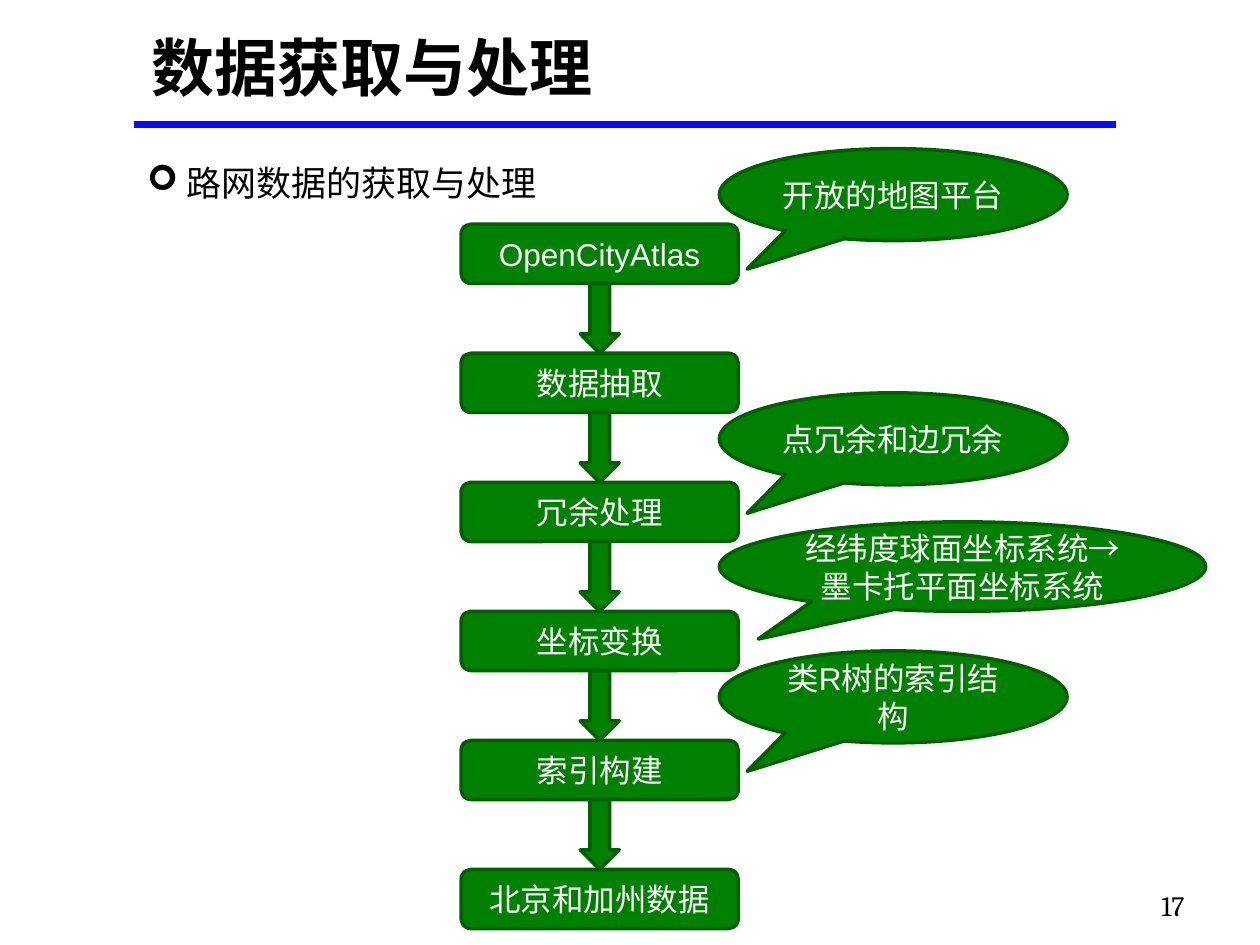
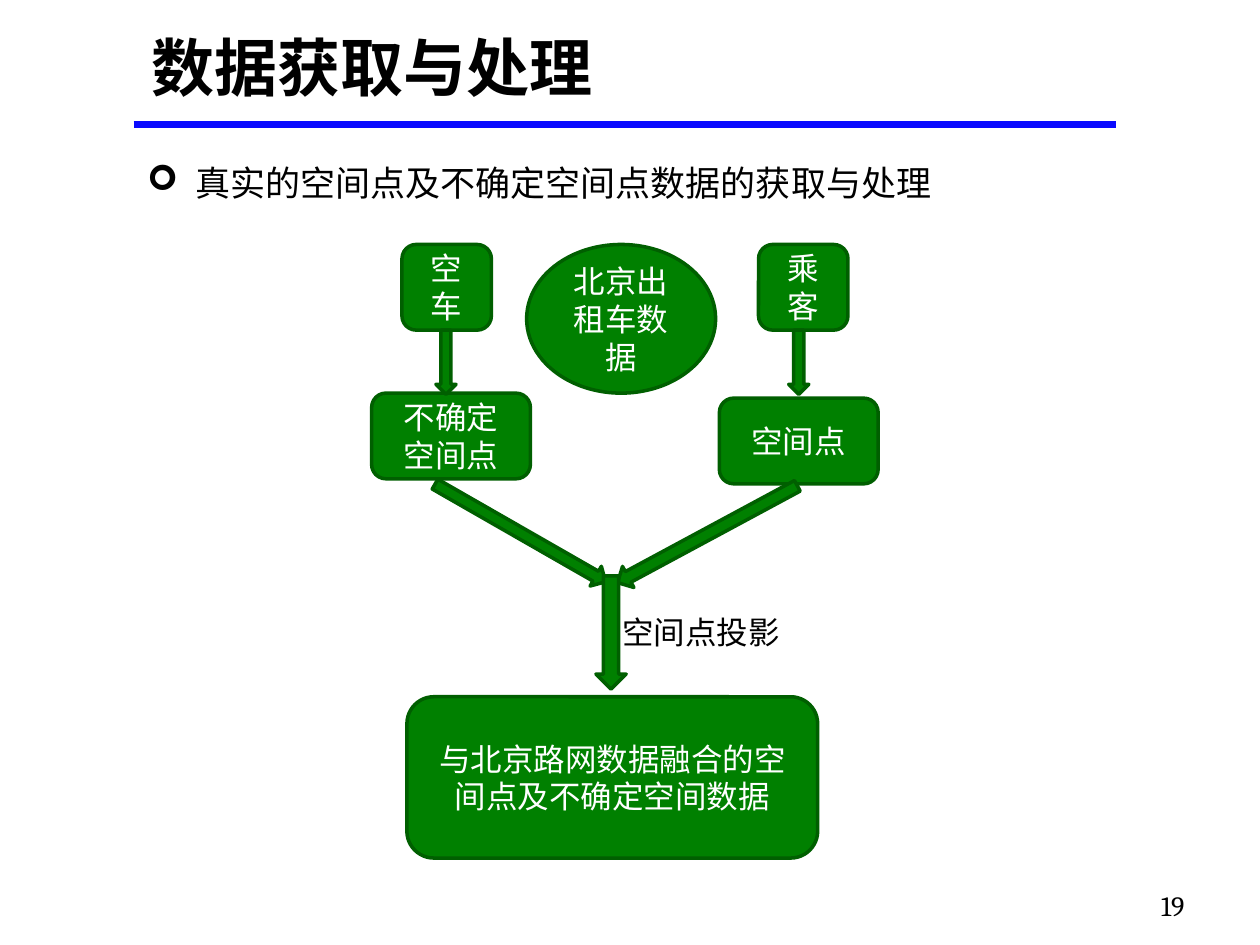
from lxml import etree
from pptx import Presentation, util as u
from pptx.dml.color import RGBColor
from pptx.enum import shapes, text
from pptx.oxml.ns import qn

COLORS = {"ink": "000000", "paper": "FFFFFF", "rule": "0A0AFF",
          "block": "008000", "edge": "005F00"}
STYLES = {
    "title": {"size": u.Pt(36), "name": "Arial", "bold": True},
    "bullet": {"size": u.Pt(20), "name": "Arial"},
    "body": {"size": u.Pt(18), "name": "Arial"},
    "number": {"size": u.Pt(16), "name": "Cambria"},
}
ALIGN, ANCHOR = text.PP_ALIGN, text.MSO_ANCHOR
KIND = shapes.MSO_SHAPE
W, H = 10, 7.5


def write(sp, words, style, color="ink", align=ALIGN.LEFT, anchor=ANCHOR.TOP):
    tf = sp.text_frame
    for key, value in {"word_wrap": True, "vertical_anchor": anchor,
                       "auto_size": text.MSO_AUTO_SIZE.NONE}.items():
        setattr(tf, key, value)
    p = tf.paragraphs[0]
    p.alignment = align
    r = p.add_run()
    r.text = words
    for key, value in STYLES[style].items():
        setattr(r.font, key, value)
    r.font.color.rgb = RGBColor.from_string(COLORS[color])
    return p


def block(s, kind, box, words="", turn=0):
    """Add a green shape; box is left, top, width, height in inches."""
    sp = s.shapes.add_shape(kind, *map(u.Inches, box))
    sp.shadow.inherit = False
    sp.rotation = turn
    sp.fill.solid()
    sp.fill.fore_color.rgb = RGBColor.from_string(COLORS["block"])
    sp.line.color.rgb = RGBColor.from_string(COLORS["edge"])
    sp.line.width = u.Pt(2)
    if words:
        write(sp, words, "body", "paper", ALIGN.CENTER, ANCHOR.MIDDLE)
    return sp


prs = Presentation()
prs.slide_width, prs.slide_height = u.Inches(W), u.Inches(H)

# Shared frame: title, rule, page number and bullet line
PAGES = [("17", "路网数据的获取与处理", 0.31),
         ("19", "真实的空间点及不确定空间点数据的获取与处理", 0.38)]
for number, topic, indent in PAGES:
    s = prs.slides.add_slide(prs.slide_layouts.get_by_name("Title Only"))
    title = s.shapes.title
    for side, value in {"left": 1.1, "top": 0.22, "width": 8.47, "height": 0.62}.items():
        setattr(title, side, u.Inches(value))
    write(title, "数据获取与处理", "title", anchor=ANCHOR.MIDDLE)

    rule = s.shapes.add_connector(shapes.MSO_CONNECTOR.STRAIGHT,
                                  *map(u.Inches, (1.06, 0.99, 8.86, 0.99)))
    rule.line.color.rgb = RGBColor.from_string(COLORS["rule"])
    rule.line.width = u.Pt(4)
    etree.SubElement(rule._element.spPr, qn("a:effectLst"))

    footer = s.shapes.add_textbox(*map(u.Inches, (7.17, 7, 2.33, 0.35)))
    write(footer, number, "number", align=ALIGN.RIGHT)

    topic_box = s.shapes.add_textbox(*map(u.Inches, (1.07, 1.23, 7.72, 0.44)))
    pPr = write(topic_box, topic, "bullet")._p.get_or_add_pPr()
    pPr.set("marL", str(u.Inches(indent)))
    pPr.set("indent", str(-u.Inches(indent)))
    etree.SubElement(pPr, qn("a:buFont")).set("typeface", "Wingdings")
    etree.SubElement(pPr, qn("a:buChar")).set("char", "➢")

roads, points = prs.slides

# Road network: a column of steps, an arrow in each gap, callouts on the right
STEPS = ["OpenCityAtlas", "数据抽取", "冗余处理", "坐标变换", "索引构建", "北京和加州数据"]
STEP_LEFT, STEP_W, STEP_H = 3.66, 2.2, 0.47
ROW_TOP, PITCH = 1.78, 1.024
ARROW_W = 0.31
tops = [ROW_TOP + PITCH * i for i in range(len(STEPS))]
for top, words in zip(tops, STEPS):
    block(roads, KIND.ROUNDED_RECTANGLE, (STEP_LEFT, top, STEP_W, STEP_H), words)
for top in tops[:-1]:
    block(roads, KIND.DOWN_ARROW, (STEP_LEFT + (STEP_W - ARROW_W) / 2, top + STEP_H,
                                   ARROW_W, PITCH - STEP_H))

# Step row, rise above the step, width, height, words
CALLOUTS = [(0, 0.6, 2.76, 0.73, "开放的地图平台"),
            (2, 0.71, 2.76, 0.73, "点冗余和边冗余"),
            (3, 0.71, 3.86, 0.71, "经纬度球面坐标系统→墨卡托平面坐标系统"),
            (4, 0.71, 2.76, 0.73, "类R树的索引结构")]
for row, rise, width, height, words in CALLOUTS:
    sp = block(roads, KIND.OVAL_CALLOUT, (5.71, tops[row] - rise, width, height), words)
    sp.adjustments[0], sp.adjustments[1] = -0.42, 0.81

# Spatial points: two branches that merge into one result
SOURCE_TOP, SOURCE_W, BOX_H = 1.94, 0.71, 0.68
POINT_W = 1.26
block(points, KIND.OVAL, (4.18, SOURCE_TOP, 1.5, 1.18), "北京出租车数据")

# Source centre, point box left and top, arrow centre, words
BRANCHES = [(3.545, 2.95, 3.12, 3.54, "空车", "不确定空间点"),
            (6.375, 5.71, 3.16, 6.34, "乘客", "空间点")]
for center, left, top, arrow_x, source, point in BRANCHES:
    block(points, KIND.ROUNDED_RECTANGLE,
          (center - SOURCE_W / 2, SOURCE_TOP, SOURCE_W, BOX_H), source)
    block(points, KIND.ROUNDED_RECTANGLE, (left, top, POINT_W, BOX_H), point)
    block(points, KIND.DOWN_ARROW, (arrow_x - 0.08, SOURCE_TOP + BOX_H, 0.16, 0.51))

MERGE_ARROWS = [((5.52, 3.43, 0.19, 1.62), 61.7),
                ((4.04, 3.45, 0.18, 1.56), 299.8),
                ((4.73, 4.57, 0.24, 0.9), 0)]
for box, turn in MERGE_ARROWS:
    block(points, KIND.DOWN_ARROW, box, turn=turn)

label = points.shapes.add_textbox(*map(u.Inches, (4.84, 4.82, 1.76, 0.4)))
write(label, "空间点投影", "body")
block(points, KIND.ROUNDED_RECTANGLE, (3.23, 5.53, 3.26, 1.28),
      "与北京路网数据融合的空间点及不确定空间数据")

prs.save("out.pptx")
